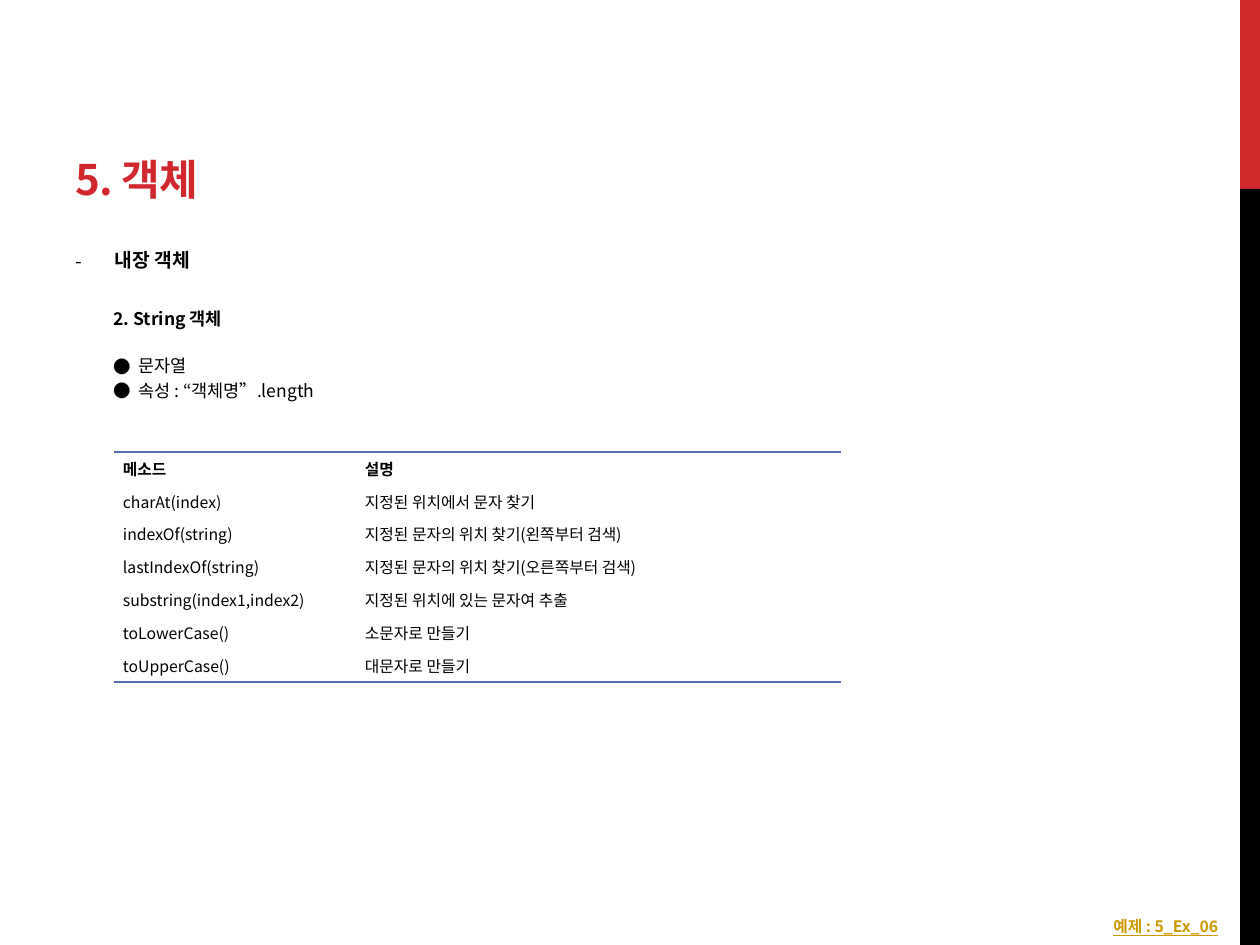
from dataclasses import dataclass

from lxml import etree
from pptx import Presentation
from pptx.dml.color import RGBColor
from pptx.enum import shapes, text
from pptx.oxml.ns import qn
from pptx.util import Emu, Pt

EMU_PER_PX = 914400 / 126


@dataclass(frozen=True)
class Theme:
    font: str = "Noto Sans CJK KR"
    red: str = "D1282E"
    black: str = "000000"
    gold: str = "CC9900"
    rule: str = "526DB0"
    title: int = 24
    heading: int = 11
    body: int = 10
    small: int = 9


THEME = Theme()
NO_TABLE_STYLE = "{2D5ABB26-0587-4C30-8999-92F81FD0307C}"

METHODS = [
    ("메소드", "설명"),
    ("charAt(index)", "지정된 위치에서 문자 찾기"),
    ("indexOf(string)", "지정된 문자의 위치 찾기(왼쪽부터 검색)"),
    ("lastIndexOf(string)", "지정된 문자의 위치 찾기(오른쪽부터 검색)"),
    ("substring(index1,index2)", "지정된 위치에 있는 문자여 추출"),
    ("toLowerCase()", "소문자로 만들기"),
    ("toUpperCase()", "대문자로 만들기"),
]


def px(n):
    return Emu(round(n * EMU_PER_PX))


def place(sp, left, top, width, height):
    sp.left, sp.top, sp.width, sp.height = map(px, (left, top, width, height))


def write(p, content, size=THEME.body, color=THEME.black, bold=False,
          underline=None, spacing=None, align=text.PP_ALIGN.LEFT,
          before=0, after=0, level=0, margin=0, indent=0, bullet=None):
    """Fill a paragraph with one formatted run."""
    pPr = p._p.get_or_add_pPr()
    pPr.set("marL", str(px(margin)))
    pPr.set("indent", str(px(indent)))
    p.level, p.alignment = level, align
    p.space_before, p.space_after = Pt(before), Pt(after)
    if bullet:
        etree.SubElement(pPr, qn("a:buFont"), typeface=THEME.font)
        etree.SubElement(pPr, qn("a:buChar"), char=bullet)
    else:
        etree.SubElement(pPr, qn("a:buNone"))
    r = p.add_run()
    r.text = content
    font = r.font
    font.size, font.bold, font.underline = Pt(size), bold, underline
    font.color.rgb = RGBColor.from_string(color)
    font.name = THEME.font
    rPr = r._r.get_or_add_rPr()
    etree.SubElement(rPr, qn("a:ea"), typeface=THEME.font)
    if spacing is not None:
        rPr.set("spc", str(spacing))


def frame(sp, anchor):
    tf = sp.text_frame
    tf.word_wrap = True
    tf.auto_size = text.MSO_AUTO_SIZE.NONE
    tf.vertical_anchor = anchor
    return tf


def add_bar(slide, top, height, color):
    sp = slide.shapes.add_shape(shapes.MSO_SHAPE.RECTANGLE, px(1240), px(top),
                                px(20), px(height))
    sp.shadow.inherit = False
    sp.fill.solid()
    sp.fill.fore_color.rgb = RGBColor.from_string(color)
    sp.line.fill.background()


def set_title(slide, content):
    sp = slide.shapes.title
    place(sp, 63, 21, 1053, 189)
    tf = frame(sp, text.MSO_ANCHOR.BOTTOM)
    write(tf.paragraphs[0], content, size=THEME.title, color=THEME.red,
          bold=True, spacing=-60)


def set_body(slide):
    sp = slide.placeholders[1]
    place(sp, 63, 242, 1162, 672)
    tf = frame(sp, text.MSO_ANCHOR.TOP)
    write(tf.paragraphs[0], "내장 객체", size=THEME.heading, bold=True,
          after=6, margin=39, indent=-39, bullet="-")
    write(tf.add_paragraph(), "2. String 객체", bold=True, before=15,
          level=1, margin=38)
    for content, before in (("문자열", 15), ("속성 : “객체명”.length", 2)):
        write(tf.add_paragraph(), content, before=before, level=1,
              margin=63, indent=-25, bullet="●")


def add_border(cell, side):
    ln = etree.SubElement(cell._tc.get_or_add_tcPr(), qn(f"a:ln{side}"),
                          w=str(Pt(1)))
    fill = etree.SubElement(ln, qn("a:solidFill"))
    etree.SubElement(fill, qn("a:srgbClr"), val=THEME.rule)


def add_method_table(slide, rows):
    widths, row_height = (242, 485), 29
    gf = slide.shapes.add_table(len(rows), len(widths), px(114), px(452),
                                px(sum(widths)), px(row_height * len(rows)))
    table = gf.table
    table.first_row = table.horz_banding = False
    table._tbl.tblPr.find(qn("a:tableStyleId")).text = NO_TABLE_STYLE
    for column, width in zip(table.columns, widths):
        column.width = px(width)
    for i, row in enumerate(rows):
        for j, content in enumerate(row):
            cell = table.cell(i, j)
            cell.margin_left = cell.margin_right = px(9)
            cell.margin_top = cell.margin_bottom = px(5)
            # Rules only above the header and below the last row
            if i == 0:
                add_border(cell, "T")
            if i == len(rows) - 1:
                add_border(cell, "B")
            cell.fill.background()
            write(cell.text_frame.paragraphs[0], content, size=THEME.small,
                  bold=i == 0, align=text.PP_ALIGN.JUSTIFY)


def add_example_label(slide, content):
    sp = slide.shapes.add_textbox(px(1101), px(911), px(144), px(32))
    tf = frame(sp, text.MSO_ANCHOR.TOP)
    write(tf.paragraphs[0], content, size=THEME.small, color=THEME.gold,
          bold=True, underline=True)


def main():
    prs = Presentation()
    prs.slide_width, prs.slide_height = px(1260), px(945)
    slide = prs.slides.add_slide(prs.slide_layouts[1])

    # Side bars
    add_bar(slide, 0, 189, THEME.red)
    add_bar(slide, 189, 756, THEME.black)

    # Content
    set_title(slide, "5. 객체")
    set_body(slide)
    add_method_table(slide, METHODS)
    add_example_label(slide, "예제 : 5_Ex_06")

    prs.save("out.pptx")


if __name__ == "__main__":
    main()
